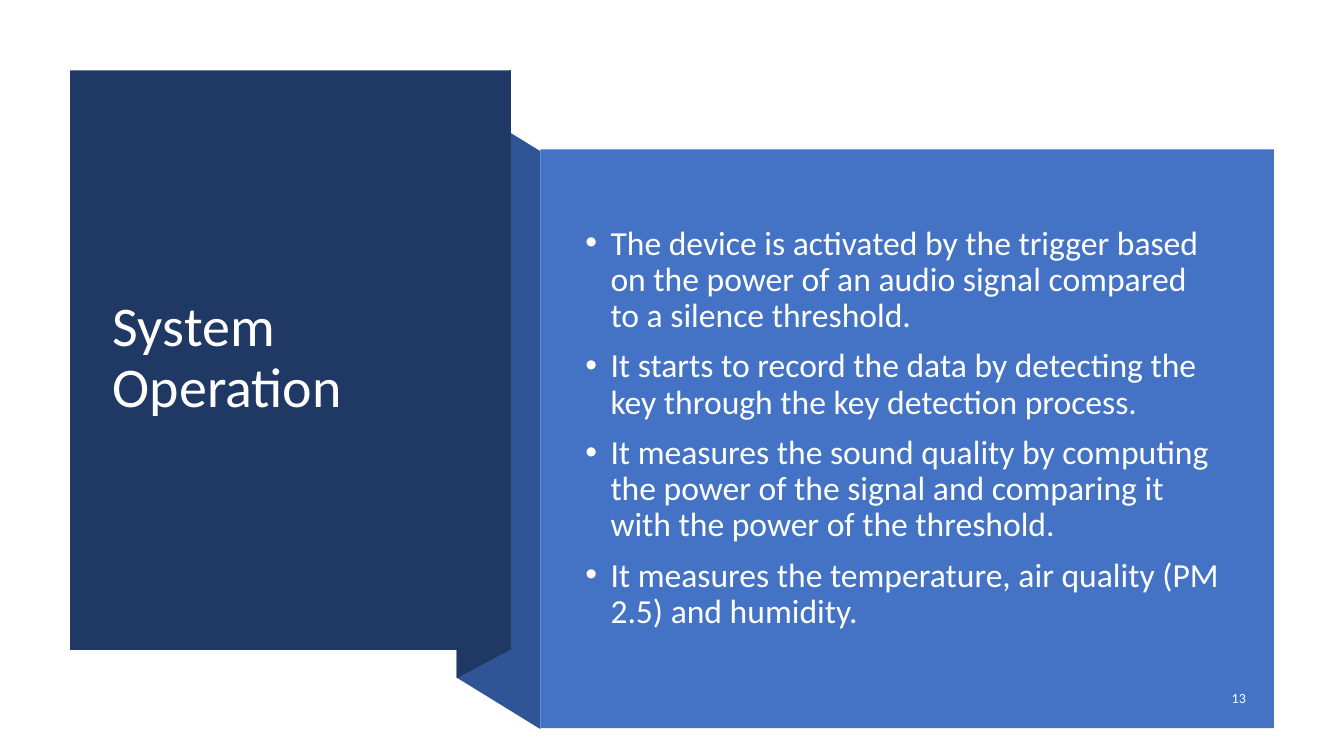
import pptx
import pptx.dml.color
import pptx.enum.shapes
import pptx.enum.text
import pptx.oxml.ns
import pptx.util
import lxml.etree

Pt = pptx.util.Pt
ALIGN = pptx.enum.text.PP_ALIGN

NAVY, FOLD_BLUE, BLUE = "203864", "2F5597", "4472C4"
WHITE, OFF_WHITE = "FFFFFF", "FEFFFF"

STEPS = [
    "The device is activated by the trigger based on the power of an audio signal "
    "compared to a silence threshold.",
    "It starts to record the data by detecting the key through the key detection process.",
    "It measures the sound quality by computing the power of the signal and comparing it "
    "with the power of the threshold.",
    "It measures the temperature, air quality (PM 2.5) and humidity.",
]


def set_color(color_format, value):
    color_format.rgb = pptx.dml.color.RGBColor.from_string(value)


def paint(shape, color):
    shape.shadow.inherit = False
    shape.fill.solid()
    set_color(shape.fill.fore_color, color)
    shape.line.fill.background()


def add_panel(page, left, top, width, height, color):
    panel = page.shapes.add_shape(
        pptx.enum.shapes.MSO_SHAPE.RECTANGLE, Pt(left), Pt(top), Pt(width), Pt(height))
    paint(panel, color)


def add_fold(page, corners, color):
    points = [(Pt(x), Pt(y)) for x, y in corners]
    builder = page.shapes.build_freeform(*points[0])
    builder.add_line_segments(points[1:], close=True)
    paint(builder.convert_to_shape(), color)


def place(box, left, top, width, height):
    """Set the box's position and give it wrapped, middle-anchored text."""
    box.left, box.top, box.width, box.height = Pt(left), Pt(top), Pt(width), Pt(height)
    frame = box.text_frame
    frame.word_wrap = True
    frame.auto_size = pptx.enum.text.MSO_AUTO_SIZE.NONE
    frame.vertical_anchor = pptx.enum.text.MSO_ANCHOR.MIDDLE


def write(para, text, size, color, **para_format):
    span = para.add_run()
    span.text = text
    span.font.name = "Calibri"
    span.font.size = Pt(size)
    set_color(span.font.color, color)
    for name, value in para_format.items():
        setattr(para, name, value)


def add_bullet(para, indent):
    properties = para._p.get_or_add_pPr()
    properties.set("marL", str(Pt(indent)))
    properties.set("indent", str(-Pt(indent)))
    qn = pptx.oxml.ns.qn
    lxml.etree.SubElement(properties, qn("a:buFont")).set("typeface", "Arial")
    lxml.etree.SubElement(properties, qn("a:buChar")).set("char", "•")


def add_title(page, text):
    title = page.shapes.title
    place(title, 73.5, 77, 267, 359)
    write(title.text_frame.paragraphs[0], text, 40, WHITE,
          alignment=ALIGN.LEFT, line_spacing=0.9)
    # The placeholder comes first in the layout, so lift it above the panels.
    title.element.getparent().append(title.element)


def add_text_box(page, left, top, width, height):
    box = page.shapes.add_textbox(0, 0, 0, 0)
    place(box, left, top, width, height)
    return box.text_frame


def add_steps(page, steps):
    frame = add_text_box(page, 411, 135.5, 469, 341)
    for index, step in enumerate(steps):
        para = frame.add_paragraph() if index else frame.paragraphs[0]
        write(para, step, 24, OFF_WHITE, line_spacing=0.9, space_before=Pt(10))
        add_bullet(para, 18)


def add_page_number(page, number):
    frame = add_text_box(page, 843, 486, 54, 25)
    write(frame.paragraphs[0], number, 10, WHITE,
          alignment=ALIGN.RIGHT, space_after=Pt(6))


def main():
    deck = pptx.Presentation()
    deck.slide_width, deck.slide_height = Pt(960), Pt(540)
    page = deck.slides.add_slide(deck.slide_layouts.get_by_name("Title Only"))

    add_fold(page, [(386, 520.8), (326.2, 484), (326.2, 71.2), (386, 108)], FOLD_BLUE)
    add_fold(page, [(364.7, 464), (326.2, 484.5), (326.2, 70.5), (364.7, 50)], NAVY)
    add_panel(page, 50, 50.2, 315, 414, NAVY)
    add_title(page, "System Operation")
    add_panel(page, 386, 106.8, 524, 413.4, BLUE)
    add_steps(page, STEPS)
    add_page_number(page, "13")

    deck.save("out.pptx")


if __name__ == "__main__":
    main()
